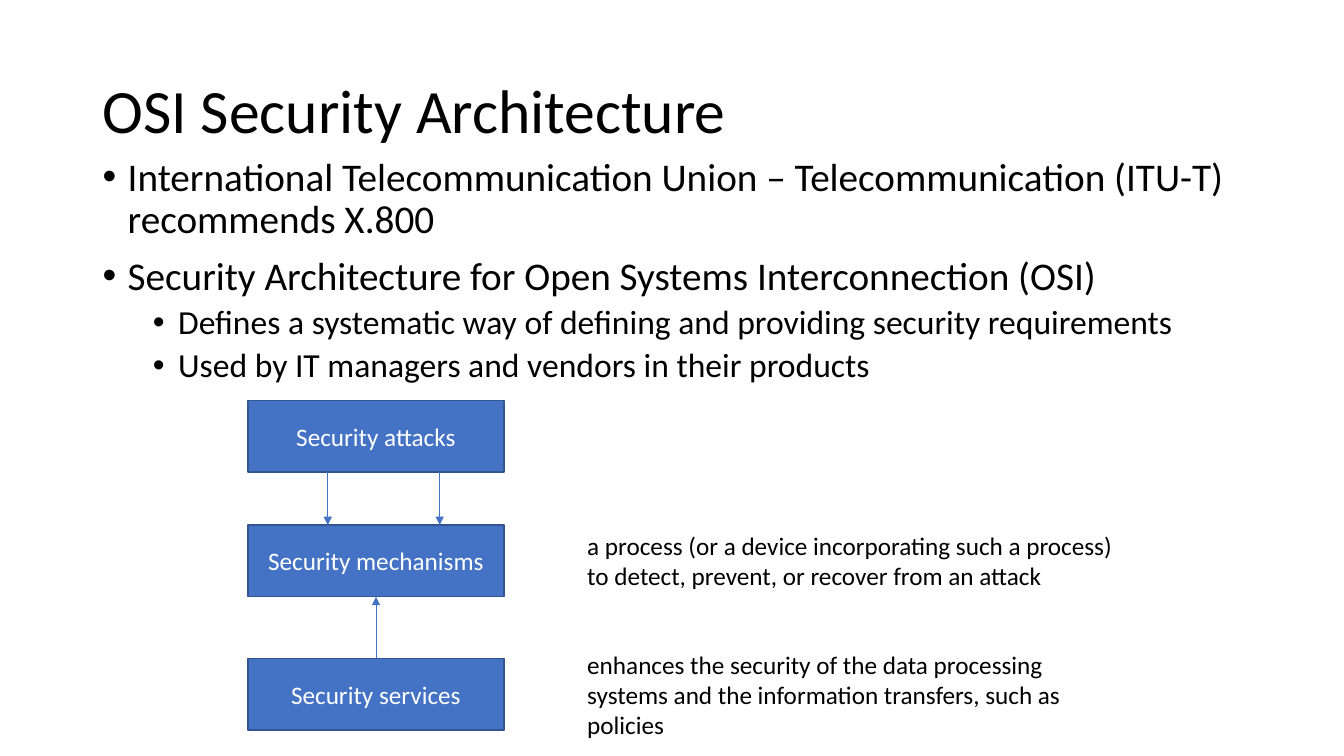
"""Build the OSI Security Architecture slide."""
from dataclasses import dataclass

from lxml import etree
from pptx import Presentation
from pptx import util as u
from pptx.dml.color import RGBColor
from pptx.enum import shapes, text
from pptx.oxml import ns

FONT, BLACK, WHITE, BLUE, EDGE = "Calibri", "000000", "FFFFFF", "4472C4", "325491"
LEFT, WIDE, HIGH = 6.25, 6.45, 1.81
NOTE_X, NOTE_W = 14.55, 13.89


@dataclass
class Item:
    words: str
    level: int = 0


@dataclass
class Box:
    words: str
    top: float


@dataclass
class Note:
    words: str
    top: float
    high: float


@dataclass
class Arrow:
    x: float
    start: float
    end: float


def color(code: str) -> RGBColor:
    return RGBColor.from_string(code)


def place(shape, x: float, y: float, w: float, h: float) -> None:
    shape.left, shape.top, shape.width, shape.height = map(u.Cm, (x, y, w, h))


def write(para, words: str, size: float, code: str = BLACK) -> None:
    run = para.add_run()
    run.text = words
    run.font.size, run.font.name = u.Pt(size), FONT
    run.font.color.rgb = color(code)


def add_title(slide, words: str) -> None:
    shape = slide.shapes.title
    place(shape, 2.33, 1.01, 29.21, 3.68)
    frame = shape.text_frame
    frame.auto_size = text.MSO_AUTO_SIZE.NONE
    frame.vertical_anchor = text.MSO_ANCHOR.MIDDLE
    para = frame.paragraphs[0]
    para.alignment, para.line_spacing = text.PP_ALIGN.LEFT, 0.9
    write(para, words, 44)


def add_list(slide, items: list[Item]) -> None:
    shape = slide.placeholders[1]
    place(shape, 2.33, 3.84, 29.21, 12.09)
    frame = shape.text_frame
    frame.auto_size = text.MSO_AUTO_SIZE.NONE
    for i, item in enumerate(items):
        para = frame.add_paragraph() if i else frame.paragraphs[0]
        para.level, para.line_spacing = item.level, 0.9
        para.space_before = u.Pt(5 if item.level else 10)
        props = para._p.get_or_add_pPr()
        props.set("marL", str(u.Cm(0.635 + 1.27 * item.level)))
        props.set("indent", str(-u.Cm(0.635)))
        etree.SubElement(props, ns.qn("a:buFont"), typeface="Arial")
        etree.SubElement(props, ns.qn("a:buChar"), char="•")
        write(para, item.words, 24 if item.level else 28)


def add_box(slide, box: Box) -> None:
    area = map(u.Cm, (LEFT, box.top, WIDE, HIGH))
    shape = slide.shapes.add_shape(shapes.MSO_SHAPE.RECTANGLE, *area)
    shape.shadow.inherit = False
    shape.fill.solid()
    shape.fill.fore_color.rgb = color(BLUE)
    shape.line.color.rgb, shape.line.width = color(EDGE), u.Pt(1)
    frame = shape.text_frame
    frame.vertical_anchor = text.MSO_ANCHOR.MIDDLE
    para = frame.paragraphs[0]
    para.alignment = text.PP_ALIGN.CENTER
    write(para, box.words, 18, WHITE)


def add_arrow(slide, arrow: Arrow) -> None:
    ends = map(u.Cm, (arrow.x, arrow.start, arrow.x, arrow.end))
    link = slide.shapes.add_connector(shapes.MSO_CONNECTOR.STRAIGHT, *ends)
    link.line.color.rgb, link.line.width = color(BLUE), u.Pt(0.5)
    etree.SubElement(link.line._get_or_add_ln(), ns.qn("a:tailEnd"), type="triangle")
    etree.SubElement(link._element.spPr, ns.qn("a:effectLst"))


def add_note(slide, note: Note) -> None:
    area = map(u.Cm, (NOTE_X, note.top, NOTE_W, note.high))
    frame = slide.shapes.add_textbox(*area).text_frame
    frame.word_wrap = True
    frame.auto_size = text.MSO_AUTO_SIZE.SHAPE_TO_FIT_TEXT
    write(frame.paragraphs[0], note.words, 18)


ITEMS = [
    Item("International Telecommunication Union – Telecommunication (ITU-T) recommends X.800"),
    Item("Security Architecture for Open Systems Interconnection (OSI)"),
    Item("Defines a systematic way of defining and providing security requirements", 1),
    Item("Used by IT managers and vendors in their products", 1),
]
ATTACK = Box("Security attacks", 10.09)
METHOD = Box("Security mechanisms", 13.23)
SERVICE = Box("Security services", 16.59)
ARROWS = [
    Arrow(LEFT + WIDE / 2, SERVICE.top, METHOD.top + HIGH),
    Arrow(8.26, ATTACK.top + HIGH, METHOD.top),
    Arrow(11.08, ATTACK.top + HIGH, METHOD.top),
]
NOTES = [
    Note("a process (or a device incorporating such a process) "
         "to detect, prevent, or recover from an attack", METHOD.top, 1.8),
    Note("enhances the security of the data processing systems "
         "and the information transfers, such as policies", 16.23, 2.57),
]


def main() -> None:
    deck = Presentation()
    deck.slide_width, deck.slide_height = u.Cm(33.87), u.Cm(19.05)
    slide = deck.slides.add_slide(deck.slide_layouts[1])
    add_title(slide, "OSI Security Architecture")
    add_list(slide, ITEMS)
    for box in (ATTACK, METHOD, SERVICE):
        add_box(slide, box)
    for arrow in ARROWS:
        add_arrow(slide, arrow)
    for note in NOTES:
        add_note(slide, note)
    deck.save("out.pptx")


main()
